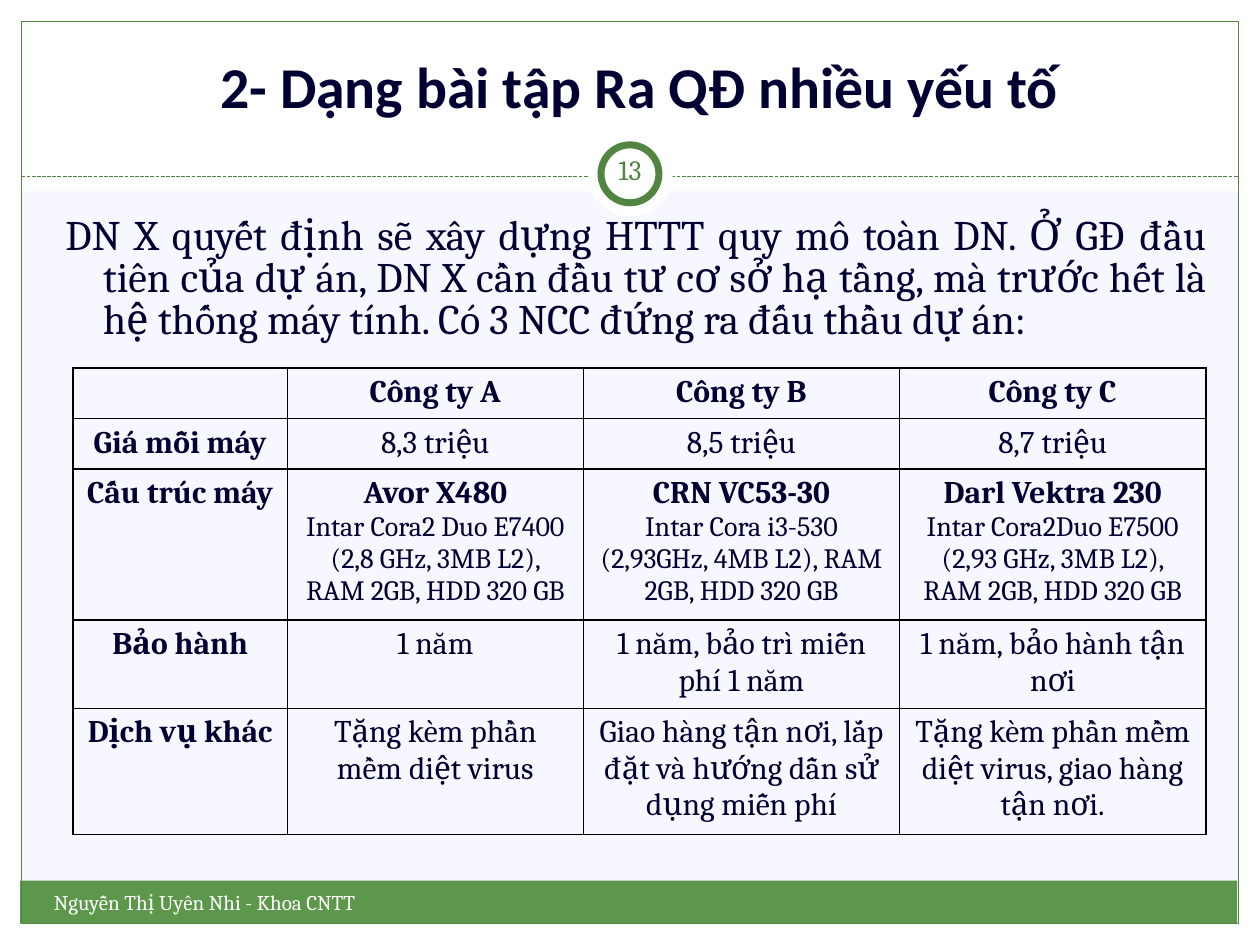
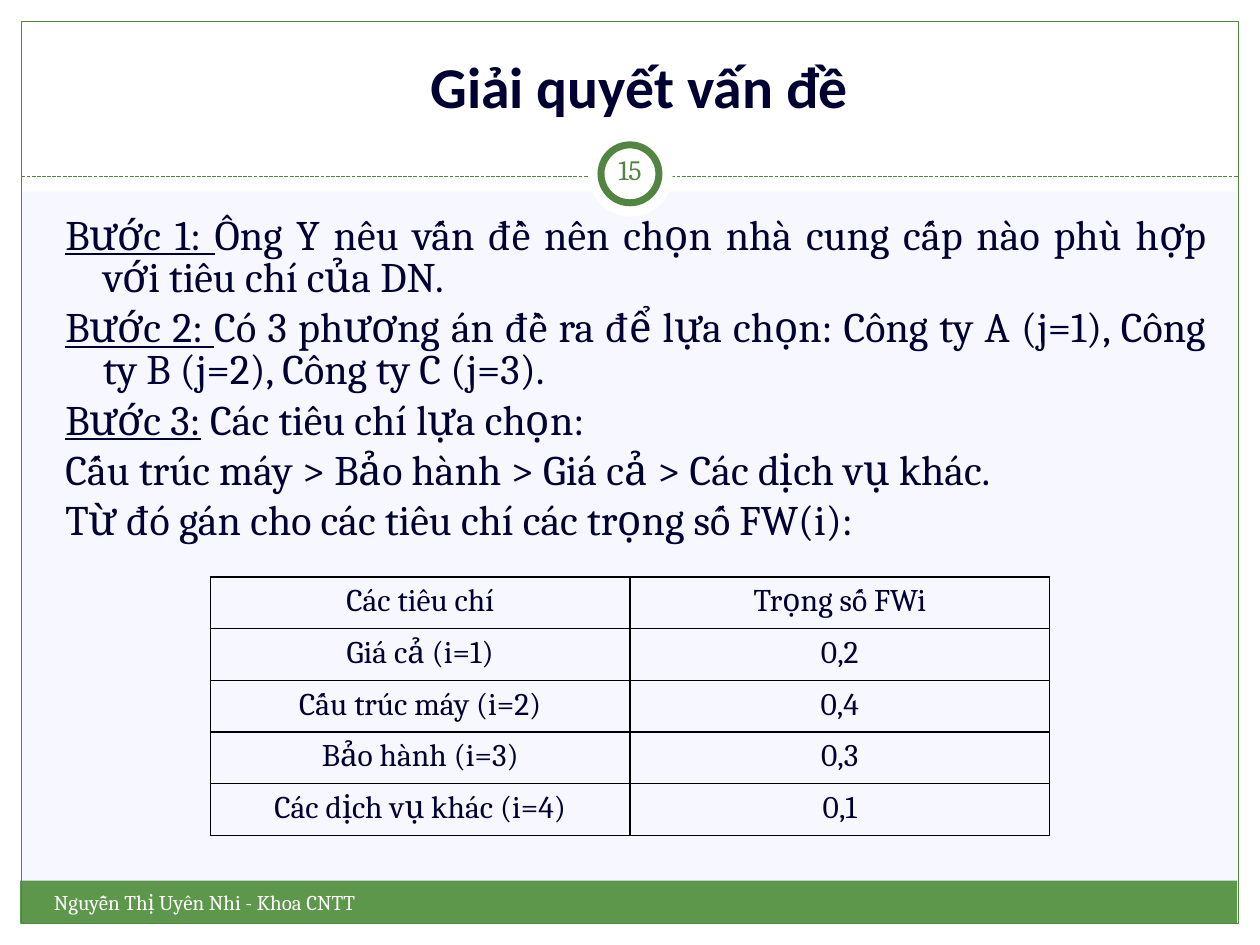
from lxml import etree
from pptx import Presentation
from pptx.dml.color import RGBColor
from pptx.enum.dml import MSO_LINE
from pptx.enum.shapes import MSO_CONNECTOR, MSO_SHAPE
from pptx.enum.text import MSO_ANCHOR, PP_ALIGN
from pptx.oxml.ns import qn
from pptx.util import Inches, Pt

RECT, OVAL = MSO_SHAPE.RECTANGLE, MSO_SHAPE.OVAL
STRAIGHT, DASH = MSO_CONNECTOR.STRAIGHT, MSO_LINE.SQUARE_DOT
TOP, MIDDLE, BOTTOM = MSO_ANCHOR.TOP, MSO_ANCHOR.MIDDLE, MSO_ANCHOR.BOTTOM
LEFT, CENTER, JUSTIFY = PP_ALIGN.LEFT, PP_ALIGN.CENTER, PP_ALIGN.JUSTIFY

WIDTH, HEIGHT, EDGE = 10, 7.5, 0.17
INNER = WIDTH - 2 * EDGE
PALE, WHITE, INK = "F7F7FF", "FFFFFF", "000032"
GREEN, BAND, BLACK = "528542", "5D974B", "000000"
HEAD, BODY = "Calibri", "Cambria"
FOOTER = "Nguyễn Thị Uyên Nhi - Khoa CNTT"

INTRO = [("", "DN X quyết định sẽ xây dựng HTTT quy mô toàn DN. Ở GĐ đầu tiên của "
              "dự án, DN X cần đầu tư cơ sở hạ tầng, mà trước hết là hệ thống máy "
              "tính. Có 3 NCC đứng ra đấu thầu dự án:")]
OFFERS = [
    ["", "Công ty A", "Công ty B", "Công ty C"],
    ["Giá mỗi máy", "8,3 triệu", "8,5 triệu", "8,7 triệu"],
    ["Cấu trúc máy",
     "Avor X480\nIntar Cora2 Duo E7400 (2,8 GHz, 3MB L2), RAM 2GB, HDD 320 GB",
     "CRN VC53-30\nIntar Cora i3-530 (2,93GHz, 4MB L2), RAM 2GB, HDD 320 GB",
     "Darl Vektra 230\nIntar Cora2Duo E7500 (2,93 GHz, 3MB L2), RAM 2GB, HDD 320 GB"],
    ["Bảo hành", "1 năm", "1 năm, bảo trì miễn phí 1 năm", "1 năm, bảo hành tận nơi"],
    ["Dịch vụ khác", "Tặng kèm phần mềm diệt virus",
     "Giao hàng tận nơi, lắp đặt và hướng dẫn sử dụng miễn phí",
     "Tặng kèm phần mềm diệt virus, giao hàng tận nơi."],
]
STEPS = [
    ("Bước 1: ", "Ông Y nêu vấn đề nên chọn nhà cung cấp nào phù hợp với tiêu chí của DN."),
    ("Bước 2: ", "Có 3 phương án đề ra để lựa chọn: Công ty A (j=1), Công ty B (j=2), "
                 "Công ty C (j=3)."),
    ("Bước 3:", " Các tiêu chí lựa chọn:"),
    ("", "Cấu trúc máy > Bảo hành > Giá cả > Các dịch vụ khác."),
    ("", "Từ đó gán cho các tiêu chí các trọng số FW(i):"),
]
WEIGHTS = [
    ["Các tiêu chí", "Trọng số FWi"],
    ["Giá cả (i=1)", "0,2"],
    ["Cấu trúc máy (i=2)", "0,4"],
    ["Bảo hành (i=3)", "0,3"],
    ["Các dịch vụ khác (i=4)", "0,1"],
]


def color(code):
    """Turn a hex string into a colour."""
    return RGBColor.from_string(code)


def style(run, size, code=INK, face=BODY, bold=False):
    """Set the font of a run."""
    font = run.font
    font.size, font.name, font.bold = Pt(size), face, bold
    font.color.rgb = color(code)


def add_shape(slide, kind, box, fill=None, line=None, weight=0.75):
    """Add a flat preset shape."""
    shape = slide.shapes.add_shape(kind, *map(Inches, box))
    shape.shadow.inherit = False
    if fill:
        shape.fill.solid()
        shape.fill.fore_color.rgb = color(fill)
    else:
        shape.fill.background()
    if line:
        shape.line.color.rgb = color(line)
        shape.line.width = Pt(weight)
    else:
        shape.line.fill.background()


def add_rule(slide, y):
    """Add the dashed rule below the title."""
    rule = slide.shapes.add_connector(
        STRAIGHT, Inches(EDGE), Inches(y), Inches(WIDTH - EDGE), Inches(y))
    rule.line.color.rgb = color(GREEN)
    rule.line.width = Pt(0.75)
    rule.line.dash_style = DASH
    etree.SubElement(rule._element.spPr, qn("a:effectLst"))


def add_frame(slide, box, anchor=TOP):
    """Add a wrapping text box and return its frame."""
    frame = slide.shapes.add_textbox(*map(Inches, box)).text_frame
    frame.word_wrap = True
    frame.vertical_anchor = anchor
    return frame


def add_label(slide, box, text, size, code, align, anchor=TOP, face=BODY, bold=False):
    """Add a text box of one line."""
    frame = add_frame(slide, box, anchor)
    frame.text = text
    para = frame.paragraphs[0]
    para.alignment = align
    style(para.runs[0], size, code, face, bold)
    return frame


def add_body(slide, lines):
    """Add justified paragraphs with underlined leads and hanging indents."""
    frame = add_frame(slide, (0.42, 1.67, 9.25, 5.33))
    frame.text = "\n".join(lead or rest for lead, rest in lines)
    for para, (lead, rest) in zip(frame.paragraphs, lines):
        para.alignment = JUSTIFY
        para.line_spacing, para.space_before = Pt(24), Pt(4.8)
        props = para._p.get_or_add_pPr()
        props.set("marL", str(Inches(0.3)))
        props.set("indent", str(Inches(-0.3)))
        if lead:
            para.runs[0].font.underline = True
            para.add_run().text = rest
        for run in para.runs:
            style(run, 24)


def add_border(cell):
    """Draw a thin black line on each side of a cell."""
    props = cell._tc.get_or_add_tcPr()
    for spot, side in enumerate(("lnL", "lnR", "lnT", "lnB")):
        line = etree.Element(qn("a:" + side), w=str(Pt(1)))
        fill = etree.SubElement(line, qn("a:solidFill"))
        etree.SubElement(fill, qn("a:srgbClr"), val=BLACK)
        props.insert(spot, line)


def add_grid(slide, left, top, cols, rows, data, heads=False):
    """Add a bordered table, with bold heads and cell titles if asked."""
    shape = slide.shapes.add_table(
        len(rows), len(cols), Inches(left), Inches(top),
        Inches(sum(cols)), Inches(sum(rows)))
    table = shape.table
    table.first_row = table.horz_banding = False
    for col, width in zip(table.columns, cols):
        col.width = Inches(width)
    for row, height in zip(table.rows, rows):
        row.height = Inches(height)
    for r, texts in enumerate(data):
        for c, text in enumerate(texts):
            cell = table.cell(r, c)
            cell.text = text
            cell.fill.background()
            add_border(cell)
            titled = "\n" in text
            for n, para in enumerate(cell.text_frame.paragraphs):
                para.alignment = CENTER
                bold = heads and n == 0 and (r == 0 or c == 0 or titled)
                for run in para.runs:
                    style(run, 16 if n else 18, bold=bold)


def add_slide(deck, title, number):
    """Add a slide with the shared bands, frame, title, number and footer."""
    slide = deck.slides.add_slide(deck.slide_layouts[6])
    slide.background.fill.solid()
    slide.background.fill.fore_color.rgb = color(PALE)
    for box in ((0, HEIGHT - EDGE, WIDTH, EDGE), (0, 0, WIDTH, 1.52),
                (0, 0, EDGE, HEIGHT), (WIDTH - EDGE, 0, EDGE, HEIGHT)):
        add_shape(slide, RECT, box, WHITE)
    add_shape(slide, RECT, (0.16, 6.99, INNER, 0.34), BAND)
    add_shape(slide, RECT, (EDGE, EDGE, INNER, HEIGHT - 2 * EDGE), line=GREEN)
    add_rule(slide, 1.4)
    add_shape(slide, OVAL, (4.67, 1.05, 0.67, 0.67), WHITE)
    add_shape(slide, OVAL, (4.77, 1.15, 0.46, 0.46), WHITE, GREEN, 4)
    add_label(slide, (0.41, EDGE, 9.33, 0.83), title, 33, INK, CENTER, BOTTOM, HEAD, True)
    badge = add_label(slide, (4.75, 1.1, 0.5, 0.48), number, 16, GREEN, CENTER, MIDDLE)
    badge.margin_left = badge.margin_right = Inches(0.05)
    add_label(slide, (0.33, 7.01, 3.92, 0.4), FOOTER, 12, WHITE, LEFT)
    return slide


def main():
    """Build both slides and save them."""
    deck = Presentation()
    deck.slide_width, deck.slide_height = Inches(WIDTH), Inches(HEIGHT)

    slide = add_slide(deck, "2- Dạng bài tập Ra QĐ nhiều yếu tố", "13")
    add_body(slide, INTRO)
    add_grid(slide, 0.58, 2.92, (1.7, 2.35, 2.51, 2.43),
             (0.39, 0.39, 1.16, 0.68, 0.97), OFFERS, heads=True)

    slide = add_slide(deck, "Giải quyết vấn đề", "15")
    add_body(slide, STEPS)
    add_grid(slide, 1.67, 4.58, [3.33] * 2, [0.41] * 5, WEIGHTS)

    deck.save("out.pptx")


main()
